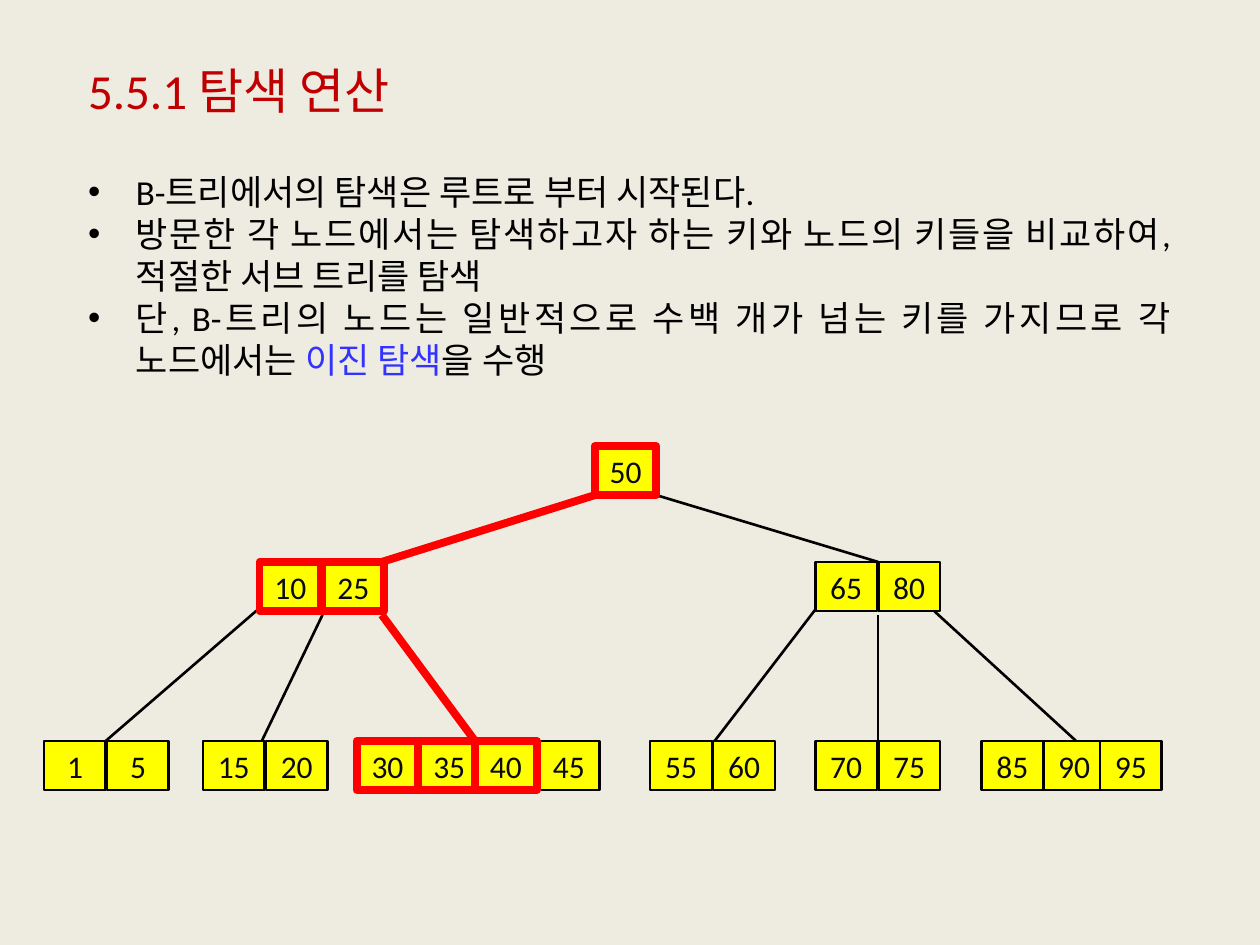
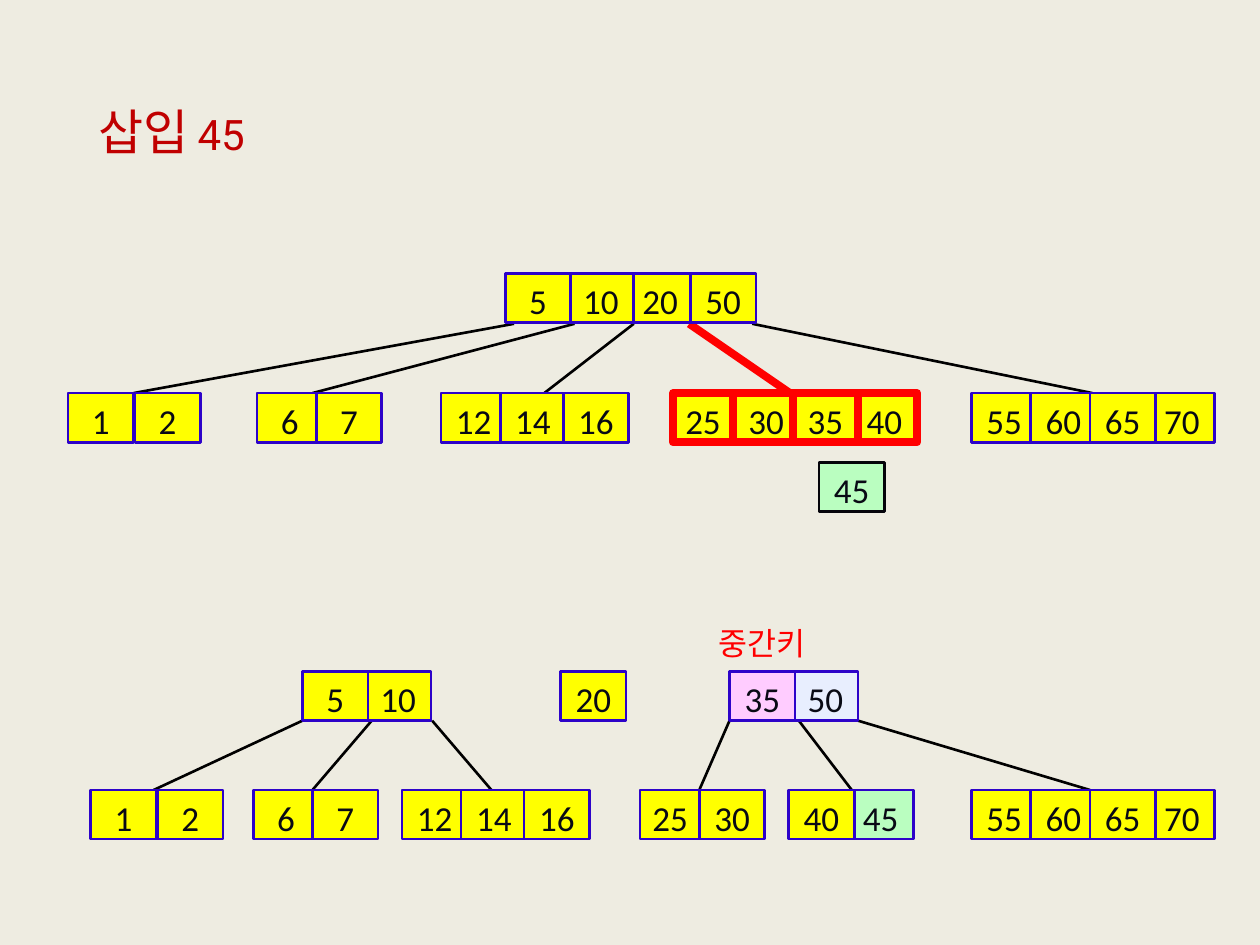
from lxml.etree import SubElement
from pptx import Presentation
from pptx.dml.color import RGBColor
from pptx.enum.shapes import MSO_CONNECTOR, MSO_SHAPE
from pptx.enum.text import MSO_ANCHOR, MSO_AUTO_SIZE, PP_ALIGN as Align
from pptx.oxml.ns import qn
from pptx.util import Inches, Pt

BACKGROUND = "EEECE1"
TITLE = "C00000"
BLACK = "000000"
RED = "FF0000"
YELLOW = "FFFF00"
KEY_TEXT = "090A15"
NODE_BLUE = "2D03C9"
NEW_KEY = "BAFEC0"
MIDDLE_KEY = "FFCCFF"
PALE_KEY = "E8EEFE"
THIN, THICK = 1.5, 4.5


def color(value):
    return RGBColor.from_string(value)


class TreeDeck:
    def __init__(self):
        self.prs = Presentation()
        self.prs.slide_width, self.prs.slide_height = Inches(10), Inches(7.5)

    def new_slide(self, cell_width, key_size, border):
        self.slide = self.prs.slides.add_slide(self.prs.slide_layouts[6])
        self.slide.background.fill.solid()
        self.slide.background.fill.fore_color.rgb = color(BACKGROUND)
        self.cell_width, self.key_size, self.border = cell_width, key_size, border

    def style_run(self, run, size, ink, font="Calibri"):
        run.font.size, run.font.name = Pt(size), font
        run.font.color.rgb = color(ink)

    def text(self, box, paragraphs, align=Align.LEFT, wrap=True, bullets=False):
        shape = self.slide.shapes.add_textbox(*map(Inches, box))
        frame = shape.text_frame
        frame.word_wrap = wrap
        frame.auto_size = MSO_AUTO_SIZE.SHAPE_TO_FIT_TEXT
        for index, runs in enumerate(paragraphs):
            paragraph = frame.paragraphs[0] if index == 0 else frame.add_paragraph()
            paragraph.alignment = align
            for words, *style in runs:
                run = paragraph.add_run()
                run.text = words
                self.style_run(run, *style)
            if bullets:
                properties = paragraph._p.get_or_add_pPr()
                properties.set("marL", str(Inches(0.38)))
                properties.set("indent", str(Inches(-0.38)))
                SubElement(properties, qn("a:buFont"), typeface="Arial")
                SubElement(properties, qn("a:buChar"), char="•")

    def edge(self, x1, y1, x2, y2, ink=BLACK, weight=THIN):
        ends = map(Inches, (x1, y1, x2, y2))
        line = self.slide.shapes.add_connector(MSO_CONNECTOR.STRAIGHT, *ends)
        line.line.color.rgb = color(ink)
        line.line.width = Pt(weight)
        SubElement(line._element.spPr, qn("a:effectLst"))

    def level(self, top, bottom, spans):
        for start, end in spans:
            self.edge(start, top, end, bottom)

    def cell(self, left, top, key, fill=YELLOW, border=None, weight=THIN, align=Align.CENTER):
        box = map(Inches, (left, top, self.cell_width, 0.39))
        shape = self.slide.shapes.add_shape(MSO_SHAPE.RECTANGLE, *box)
        shape.shadow.inherit = False
        shape.fill.solid()
        shape.fill.fore_color.rgb = color(fill)
        shape.line.color.rgb = color(border or self.border)
        shape.line.width = Pt(weight)
        frame = shape.text_frame
        frame.vertical_anchor = MSO_ANCHOR.TOP
        frame.text = str(key)
        frame.paragraphs[0].alignment = align
        self.style_run(frame.paragraphs[0].runs[0], self.key_size, KEY_TEXT)

    def node(self, left, top, keys, offsets, order=None, fills=None, visited=False, lead=Align.CENTER):
        outline = {"border": RED, "weight": THICK} if visited else {}
        for i in order or range(len(keys)):
            fill = (fills or {}).get(keys[i], YELLOW)
            align = lead if i == 0 else Align.CENTER
            self.cell(left + offsets[i], top, keys[i], fill, align=align, **outline)


def search_slide(deck):
    deck.new_slide(cell_width=0.49, key_size=18, border=BLACK)
    root_top, inner_top, leaf_top = 3.54, 4.46, 5.88
    pair, triple = (0, 0.5), (0, 0.49, 0.94)

    deck.cell(4.27, leaf_top, 45)
    for ends in (
        (2.09, 4.8, 0.84, leaf_top),
        (2.56, 4.88, 2.03, 5.98),
        (6.5, 4.8, 5.55, 6.04),
        (6.97, 4.88, 6.97, 6.04),
        (7.36, 4.8, 8.54, leaf_top),
        (5.21, 3.93, 6.97, inner_top),
    ):
        deck.edge(*ends)
    deck.edge(3.03, 4.88, 3.77, leaf_top, RED, THICK)
    deck.edge(4.72, 3.93, 3.03, inner_top, RED, THICK)

    deck.node(4.72, root_top, [50], (0,), visited=True)
    deck.node(2.06, inner_top, [10, 25], pair, visited=True)
    deck.node(6.47, inner_top, [65, 80], pair)
    for left, keys in ((0.35, [1, 5]), (1.61, [15, 20]), (5.16, [55, 60]), (6.47, [70, 75])):
        deck.node(left, leaf_top, keys, pair)
    deck.node(7.79, leaf_top, [85, 90, 95], triple)
    deck.node(2.83, leaf_top, [30, 35, 40], triple, visited=True)

    deck.text((0.6, 0.43, 2.79, 0.57), [[("5.5.1 탐색 연산", 28, TITLE)]], wrap=False)
    body = (20, BLACK)
    deck.text((0.6, 1.3, 8.79, 1.78), [
        [("B-트리에서의 탐색은 루트로 부터 시작된다.", *body)],
        [("방문한 각 노드에서는 탐색하고자 하는 키와 노드의 키들을 비교하여, 적절한 서브 트리를 탐색", *body)],
        [
            ("단, B-트리의 노드는 일반적으로 수백 개가 넘는 키를 가지므로 각 노드에서는 ", *body),
            ("이진 탐색", 20, "3333FF"),
            ("을 수행", *body),
        ],
    ], Align.JUSTIFY, bullets=True)


def insert_slide(deck):
    deck.new_slide(cell_width=0.52, key_size=20, border=NODE_BLUE)
    wide, inner, narrow = (0, 0.53), (0, 0.5), (0, 0.47)
    triple, quad = (0, 0.47, 0.97), (0, 0.47, 0.94, 1.41)
    ends_first, right_first = (0, 3, 1, 2), (1, 0)

    deck.text((0.68, 0.76, 7.01, 0.57), [[("삽입", 28, TITLE, "Times New Roman"), (" 45", 24, TITLE, "Roboto")]])

    root_top, leaf_top = 2.17, 3.12
    deck.level(2.57, leaf_top, ((4.08, 1.06), (4.56, 2.48), (5.03, 4.32), (5.97, 8.67)))
    deck.edge(5.47, 2.57, 6.27, leaf_top, RED, THICK)
    deck.node(4.01, root_top, [5, 10, 20, 50], (0, 0.5, 0.97, 1.47), (2, 1, 3, 0))
    deck.node(0.54, leaf_top, [1, 2], wide)
    deck.node(2.04, leaf_top, [6, 7], narrow)
    deck.node(3.5, leaf_top, [12, 14, 16], triple)
    deck.node(5.34, leaf_top, [25, 30, 35, 40], (0, 0.48, 0.95, 1.42), ends_first, visited=True, lead=Align.LEFT)
    deck.cell(6.5, 3.67, 45, NEW_KEY, "05050B")

    split_top, split_leaf_top = 5.33, 6.27
    deck.level(5.72, split_leaf_top, (
        (2.4, 1.22), (2.95, 2.48), (3.43, 3.9), (5.79, 5.55), (6.34, 6.76), (6.81, 8.65),
    ))
    deck.node(2.4, split_top, [5, 10], inner, right_first)
    deck.cell(4.45, split_top, 20)
    deck.node(5.79, split_top, [35, 50], inner, right_first, {35: MIDDLE_KEY, 50: PALE_KEY})
    deck.node(0.72, split_leaf_top, [1, 2], wide)
    deck.node(2.01, split_leaf_top, [6, 7], narrow)
    deck.node(3.19, split_leaf_top, [12, 14, 16], triple)
    deck.node(5.08, split_leaf_top, [25, 30], narrow, lead=Align.LEFT)
    deck.node(6.26, split_leaf_top, [40, 45], narrow, right_first, {45: NEW_KEY})
    for top in (leaf_top, split_leaf_top):
        deck.node(7.71, top, [55, 60, 65, 70], quad, ends_first)
    deck.text((5.42, 4.9, 1.25, 0.4), [[("중간키", 18, RED)]], Align.CENTER)


def main():
    deck = TreeDeck()
    search_slide(deck)
    insert_slide(deck)
    deck.prs.save("out.pptx")


if __name__ == "__main__":
    main()
